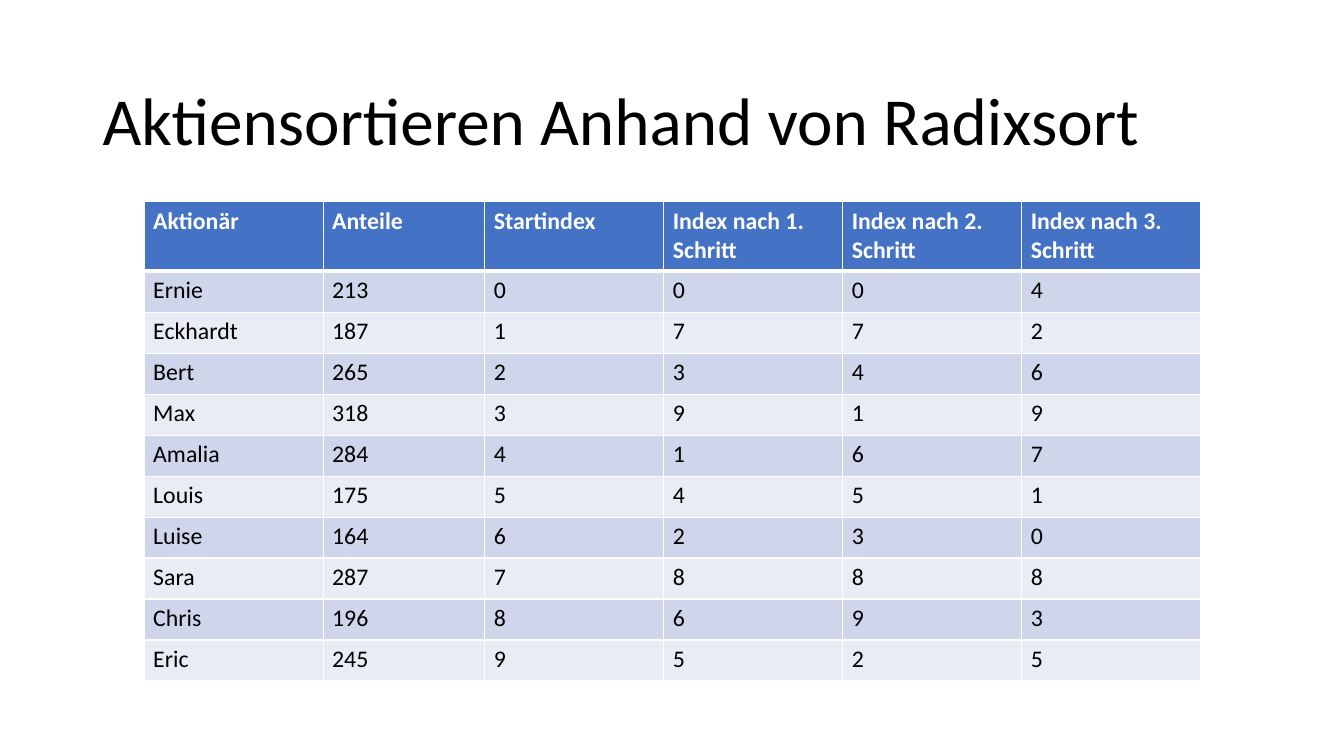
import pptx
import pptx.dml.color
import pptx.enum.text
import pptx.oxml.ns
import pptx.util
from lxml import etree

Inches = pptx.util.Inches
RGBColor = pptx.dml.color.RGBColor

BLACK = RGBColor(0x00, 0x00, 0x00)
WHITE = RGBColor(0xFF, 0xFF, 0xFF)
HEADER_BLUE = RGBColor(0x44, 0x72, 0xC4)
BAND_DARK = RGBColor(0xCF, 0xD5, 0xEA)
BAND_LIGHT = RGBColor(0xE9, 0xEB, 0xF5)
FONT = "Calibri"

HEADINGS = ["Aktionär", "Anteile", "Startindex"] + [
    f"Index nach {step}. Schritt" for step in (1, 2, 3)]
# Shareholder, shares, start index, index after each of the three steps
SHAREHOLDERS = [
    ("Ernie", 213, 0, 0, 0, 4),
    ("Eckhardt", 187, 1, 7, 7, 2),
    ("Bert", 265, 2, 3, 4, 6),
    ("Max", 318, 3, 9, 1, 9),
    ("Amalia", 284, 4, 1, 6, 7),
    ("Louis", 175, 5, 4, 5, 1),
    ("Luise", 164, 6, 2, 3, 0),
    ("Sara", 287, 7, 8, 8, 8),
    ("Chris", 196, 8, 6, 9, 3),
    ("Eric", 245, 9, 5, 2, 5),
]
COLUMN_SHARES = [1.77, 1.6, 1.77, 1.77, 1.77, 1.77]
HEADER_HEIGHT = 0.69


def add_run(paragraph, text, size, color, bold=False):
    """Append one formatted run to a paragraph."""
    run = paragraph.add_run()
    run.text = text
    run.font.name = FONT
    run.font.size = pptx.util.Pt(size)
    run.font.color.rgb = color
    run.font.bold = bold


def add_borders(cell, widths):
    """Draw white cell borders; widths maps each side to points."""
    qn = pptx.oxml.ns.qn
    properties = cell._tc.get_or_add_tcPr()
    for side, width in widths.items():
        border = etree.SubElement(properties, qn(f"a:ln{side}"),
                                  w=str(pptx.util.Pt(width)))
        fill = etree.SubElement(border, qn("a:solidFill"))
        etree.SubElement(fill, qn("a:srgbClr"), val=str(WHITE))


def add_title(slide, left, top, width, height):
    """Place the slide title, centred vertically in its box."""
    title = slide.shapes.add_textbox(
        Inches(left), Inches(top), Inches(width), Inches(height)).text_frame
    title.word_wrap = True
    title.vertical_anchor = pptx.enum.text.MSO_ANCHOR.MIDDLE
    heading = title.paragraphs[0]
    heading.line_spacing = 0.9
    add_run(heading, "Aktiensortieren Anhand von Radixsort", 48, BLACK)


def add_index_table(slide, left, top, width, height):
    """Place the table of shareholders and their index after each step."""
    rows = [HEADINGS, *SHAREHOLDERS]
    table = slide.shapes.add_table(
        len(rows), len(HEADINGS), Inches(left), Inches(top),
        Inches(width), Inches(height)).table
    for column, share in zip(table.columns, COLUMN_SHARES):
        column.width = Inches(width * share / sum(COLUMN_SHARES))

    body_height = (height - HEADER_HEIGHT) / len(SHAREHOLDERS)
    for r, values in enumerate(rows):
        is_header = r == 0
        table.rows[r].height = Inches(HEADER_HEIGHT if is_header else body_height)
        band = HEADER_BLUE if is_header else BAND_DARK if r % 2 else BAND_LIGHT
        widths = {"L": 1, "R": 1, "T": 3 if r == 1 else 1, "B": 3 if is_header else 1}
        for c, value in enumerate(values):
            cell = table.cell(r, c)
            cell.margin_left = cell.margin_right = Inches(0.09)
            cell.margin_top = cell.margin_bottom = Inches(0.05)
            add_borders(cell, widths)
            cell.fill.solid()
            cell.fill.fore_color.rgb = band
            add_run(cell.text_frame.paragraphs[0], str(value), 17,
                    WHITE if is_header else BLACK, bold=is_header)


def main():
    """Build the slide and save it."""
    presentation = pptx.Presentation()
    presentation.slide_width = Inches(13.33)
    presentation.slide_height = Inches(7.5)
    slide = presentation.slides.add_slide(presentation.slide_layouts[6])
    add_title(slide, 0.92, 0.61, 11.5, 1.24)
    add_index_table(slide, 1.43, 2, 10.48, 4.76)
    presentation.save("out.pptx")


main()
